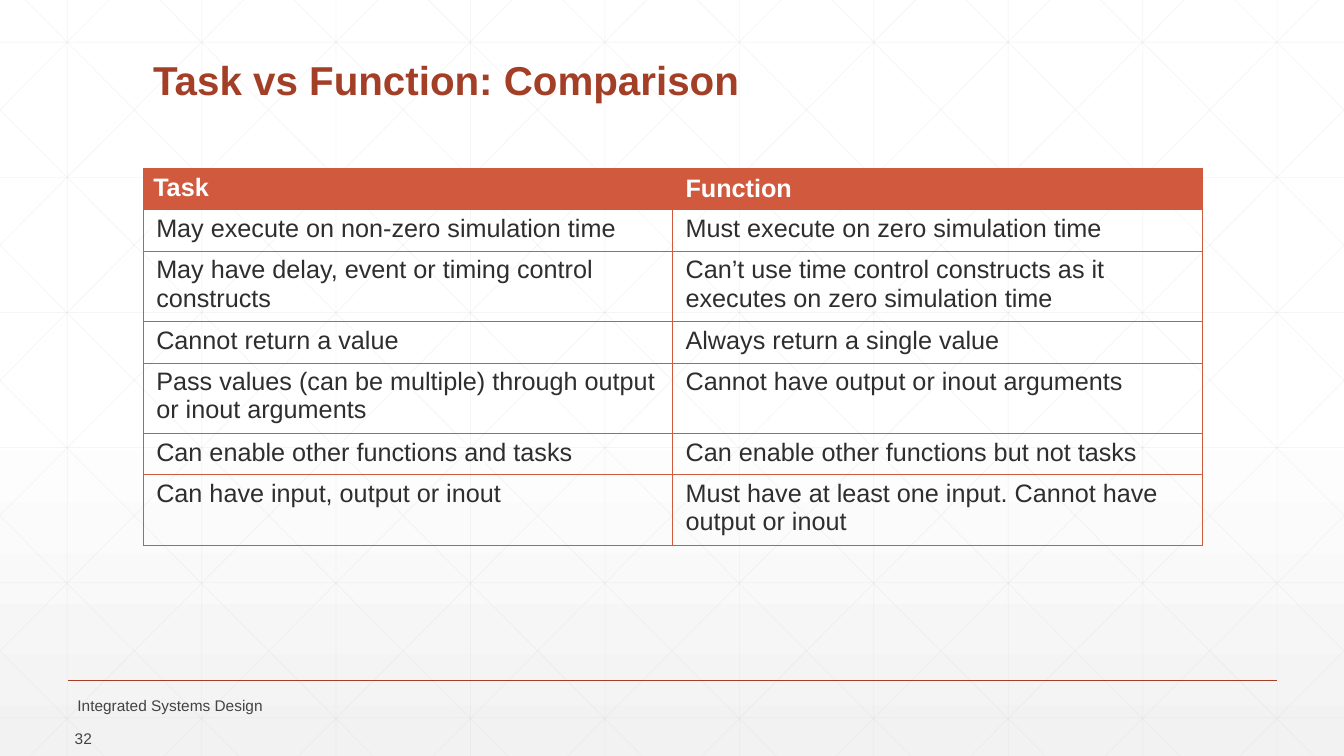
import dataclasses

import pptx
import pptx.dml.color
import pptx.enum.shapes
import pptx.enum.text
import pptx.oxml
import pptx.oxml.ns
import pptx.util

Inches = pptx.util.Inches
Pt = pptx.util.Pt
Align = pptx.enum.text.PP_ALIGN
Anchor = pptx.enum.text.MSO_ANCHOR


@dataclasses.dataclass(frozen=True)
class Theme:
    font: str = "Arial"
    rust: str = "A43F27"
    orange: str = "D15A3E"
    ink: str = "2D2E2D"
    footer: str = "424342"
    grid: str = "D9D9D9"
    white: str = "FFFFFF"
    mist: str = "F2F2F2"
    title_size: float = 28.8
    table_size: float = 18
    footer_size: float = 11
    hairline: float = 0.5


THEME = Theme()
WIDTH, HEIGHT = 13.33, 7.5
GRID_STEP = 4 / 3
DIAGONAL_RUN = 7.45
ROWS = [
    ("Task", "Function"),
    ("May execute on non-zero simulation time", "Must execute on zero simulation time"),
    ("May have delay, event or timing control constructs",
     "Can’t use time control constructs as it executes on zero simulation time"),
    ("Cannot return a value", "Always return a single value"),
    ("Pass values (can be multiple) through output or inout arguments",
     "Cannot have output or inout arguments"),
    ("Can enable other functions and tasks", "Can enable other functions but not tasks"),
    ("Can have input, output or inout",
     "Must have at least one input. Cannot have output or inout"),
]
ROW_HEIGHTS = [0.41, 0.41, 0.66, 0.41, 0.66, 0.41, 0.66]


def rgb(value):
    return pptx.dml.color.RGBColor.from_string(value)


def write_text(frame, text, size, color, bold=False, align=Align.LEFT, spacing=None):
    frame.word_wrap = True
    para = frame.paragraphs[0]
    para.alignment = align
    if spacing:
        para.line_spacing = spacing
    span = para.add_run()
    span.text = text
    span.font.name = THEME.font
    span.font.size = Pt(size)
    span.font.bold = bold
    span.font.color.rgb = rgb(color)


def add_text(page, text, left, top, width, height, anchor=Anchor.MIDDLE, **text_format):
    box = page.shapes.add_textbox(Inches(left), Inches(top), Inches(width), Inches(height))
    box.text_frame.vertical_anchor = anchor
    write_text(box.text_frame, text, **text_format)


def add_line(page, start, end, color, width, opacity=None):
    line = page.shapes.add_connector(
        pptx.enum.shapes.MSO_CONNECTOR.STRAIGHT, *map(Inches, (*start, *end)))
    line.line.color.rgb = rgb(color)
    line.line.width = Pt(width)
    properties = line._element.spPr
    if opacity:
        paint = next(properties.iter(pptx.oxml.ns.qn("a:srgbClr")))
        alpha = pptx.oxml.parse_xml(
            f'<a:alpha {pptx.oxml.ns.nsdecls("a")} val="{opacity * 1000}"/>')
        paint.append(alpha)
    properties.append(pptx.oxml.parse_xml(f'<a:effectLst {pptx.oxml.ns.nsdecls("a")}/>'))


def add_grid_line(page, start, end):
    add_line(page, start, end, THEME.grid, THEME.hairline, opacity=25)


def clipped_diagonal(top_x):
    slope = HEIGHT / DIAGONAL_RUN
    left = max(top_x, 0)
    right = min(top_x + DIAGONAL_RUN, WIDTH)
    return (left, (left - top_x) * slope), (right, (right - top_x) * slope)


def add_background(page):
    fill = page.background.fill
    fill.gradient()
    fill.gradient_angle = 270
    for stop, color, position in zip(
            fill.gradient_stops, (THEME.white, THEME.mist), (0.53, 1)):
        stop.color.rgb = rgb(color)
        stop.position = position
    for column in range(10):
        x = (column + 0.5) * GRID_STEP
        add_grid_line(page, (x, 0), (x, HEIGHT))
    for row in range(6):
        y = 0.42 + row * 1.34
        add_grid_line(page, (0, y), (WIDTH, y))
    for step in range(-5, 10):
        start, end = clipped_diagonal(0.25 + step * GRID_STEP)
        add_grid_line(page, start, end)
        add_grid_line(page, (WIDTH - start[0], start[1]), (WIDTH - end[0], end[1]))


def add_borders(cell):
    properties = cell._tc.get_or_add_tcPr()
    for index, side in enumerate(("lnL", "lnR", "lnT", "lnB")):
        properties.insert(index, pptx.oxml.parse_xml(
            f'<a:{side} {pptx.oxml.ns.nsdecls("a")} w="{Pt(THEME.hairline)}">'
            f'<a:solidFill><a:srgbClr val="{THEME.orange}"/></a:solidFill>'
            f'<a:prstDash val="solid"/></a:{side}>'))


def fill_cell(cell, text, header, inset):
    cell.margin_left = cell.margin_right = Inches(inset)
    cell.margin_top = cell.margin_bottom = Inches(0.05)
    if header:
        cell.fill.solid()
        cell.fill.fore_color.rgb = rgb(THEME.orange)
    else:
        cell.fill.background()
    write_text(cell.text_frame, text, size=THEME.table_size, bold=header,
               color=THEME.white if header else THEME.ink)
    add_borders(cell)


def add_comparison(page):
    table = page.shapes.add_table(
        len(ROWS), 2, Inches(1.42), Inches(1.67),
        Inches(10.5), Inches(sum(ROW_HEIGHTS))).table
    table.horz_banding = False
    for row, height in zip(table.rows, ROW_HEIGHTS):
        row.height = Inches(height)
    for row, texts in enumerate(ROWS):
        for column, text in enumerate(texts):
            inset = 0.1 if row == column == 0 else 0.13
            fill_cell(table.cell(row, column), text, row == 0, inset)
    table.cell(0, 1).vertical_anchor = Anchor.MIDDLE


def main():
    deck = pptx.Presentation()
    deck.slide_width, deck.slide_height = Inches(WIDTH), Inches(HEIGHT)
    page = deck.slides.add_slide(deck.slide_layouts[6])
    add_background(page)
    add_line(page, (0.67, 6.75), (12.67, 6.75), THEME.rust, 1)
    add_text(page, "Task vs Function: Comparison", 1.42, 0.55, 10.5, 0.57,
             anchor=Anchor.TOP, size=THEME.title_size, color=THEME.rust,
             bold=True, spacing=0.9)
    add_comparison(page)
    footer = {"size": THEME.footer_size, "color": THEME.footer}
    add_text(page, "Integrated Systems Design", 0.67, 6.88, 6.7, 0.24, **footer)
    add_text(page, "32", 0.01, 7.21, 1, 0.24, align=Align.RIGHT, **footer)
    deck.save("out.pptx")


if __name__ == "__main__":
    main()
